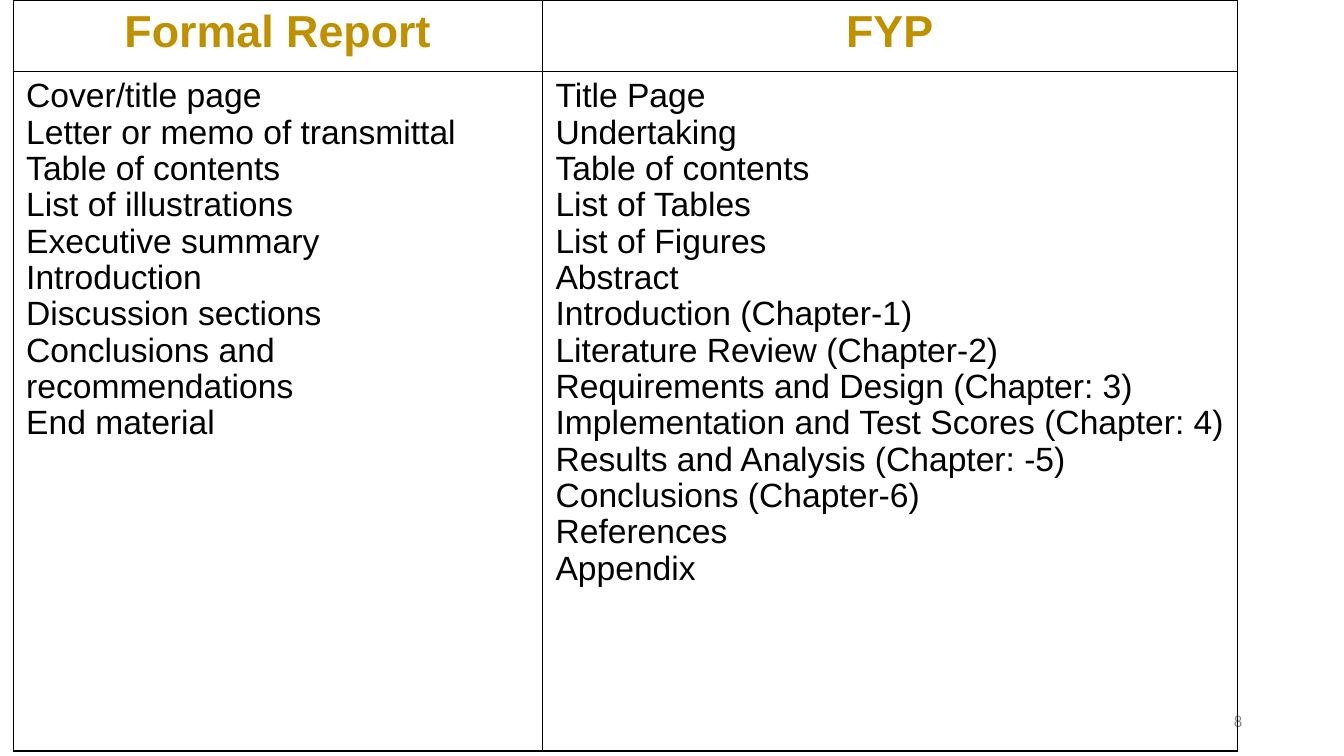
from lxml.etree import SubElement
from pptx import Presentation
from pptx.dml.color import RGBColor
from pptx.enum.text import MSO_ANCHOR, PP_ALIGN
from pptx.oxml.ns import qn
from pptx.util import Inches, Pt

COLORS = {"heading": "BF9000", "body": "000000", "border": "000000", "number": "8C8C8C"}

SECTIONS = {
    "Formal Report": [
        "Cover/title page",
        "Letter or memo of transmittal",
        "Table of contents",
        "List of illustrations",
        "Executive summary",
        "Introduction",
        "Discussion sections",
        "Conclusions and recommendations",
        "End material",
    ],
    "FYP": [
        "Title Page",
        "Undertaking",
        "Table of contents",
        "List of Tables",
        "List of Figures",
        "Abstract",
        "Introduction (Chapter-1)",
        "Literature Review (Chapter-2)",
        "Requirements and Design (Chapter: 3)",
        "Implementation and Test Scores (Chapter: 4)",
        "Results and Analysis (Chapter: -5)",
        "Conclusions (Chapter-6)",
        "References",
        "Appendix",
    ],
}


def style_paragraph(paragraph, size, color, face="Arial", bold=False, align=PP_ALIGN.LEFT):
    paragraph.alignment = align
    for run in paragraph.runs:
        run.font.name = face
        run.font.size = Pt(size)
        run.font.bold = bold
        run.font.color.rgb = RGBColor.from_string(COLORS[color])


def outline_cell(cell, top, bottom):
    """Draw the four cell borders; top and bottom are widths in points."""
    properties = cell._tc.get_or_add_tcPr()
    for side, width in (("L", 1), ("R", 1), ("T", top), ("B", bottom)):
        line = SubElement(properties, qn(f"a:ln{side}"), w=str(Pt(width)))
        fill = SubElement(line, qn("a:solidFill"))
        SubElement(fill, qn("a:srgbClr"), val=COLORS["border"])


def fill_cell(cell, lines, top, bottom):
    outline_cell(cell, top, bottom)
    cell.fill.background()
    cell.margin_left = cell.margin_right = Inches(0.13)
    cell.margin_top = cell.margin_bottom = Inches(0.07)
    cell.vertical_anchor = MSO_ANCHOR.TOP
    cell.text_frame.text = "\n".join(lines)
    return cell.text_frame.paragraphs


def add_comparison(slide, left, top, column_widths, row_heights):
    frame = slide.shapes.add_table(
        len(row_heights), len(column_widths), Inches(left), Inches(top),
        Inches(sum(column_widths)), Inches(sum(row_heights)))
    comparison = frame.table
    comparison.horz_banding = False
    for row, height in zip(comparison.rows, row_heights):
        row.height = Inches(height)
    for index, (heading, sections) in enumerate(SECTIONS.items()):
        comparison.columns[index].width = Inches(column_widths[index])
        for paragraph in fill_cell(comparison.cell(0, index), [heading], 1, 1.5):
            style_paragraph(paragraph, 32, "heading", bold=True, align=PP_ALIGN.CENTER)
        for paragraph in fill_cell(comparison.cell(1, index), sections, 1.5, 1):
            style_paragraph(paragraph, 24, "body")
            paragraph.line_spacing = 0.97


def add_page_number(slide, left, top, width, height):
    number = slide.shapes.add_textbox(
        Inches(left), Inches(top), Inches(width), Inches(height)).text_frame
    number.word_wrap = True
    number.vertical_anchor = MSO_ANCHOR.MIDDLE
    number.text = "8"
    style_paragraph(number.paragraphs[0], 12, "number", "Calibri", align=PP_ALIGN.RIGHT)


def main():
    deck = Presentation()
    deck.slide_width, deck.slide_height = Inches(13.33), Inches(7.5)
    slide = deck.slides.add_slide(deck.slide_layouts[6])
    add_page_number(slide, 9.42, 6.95, 3, 0.4)
    add_comparison(slide, 0.13, 0, [5.25, 6.89], [0.71, 6.74])
    deck.save("out.pptx")


if __name__ == "__main__":
    main()
